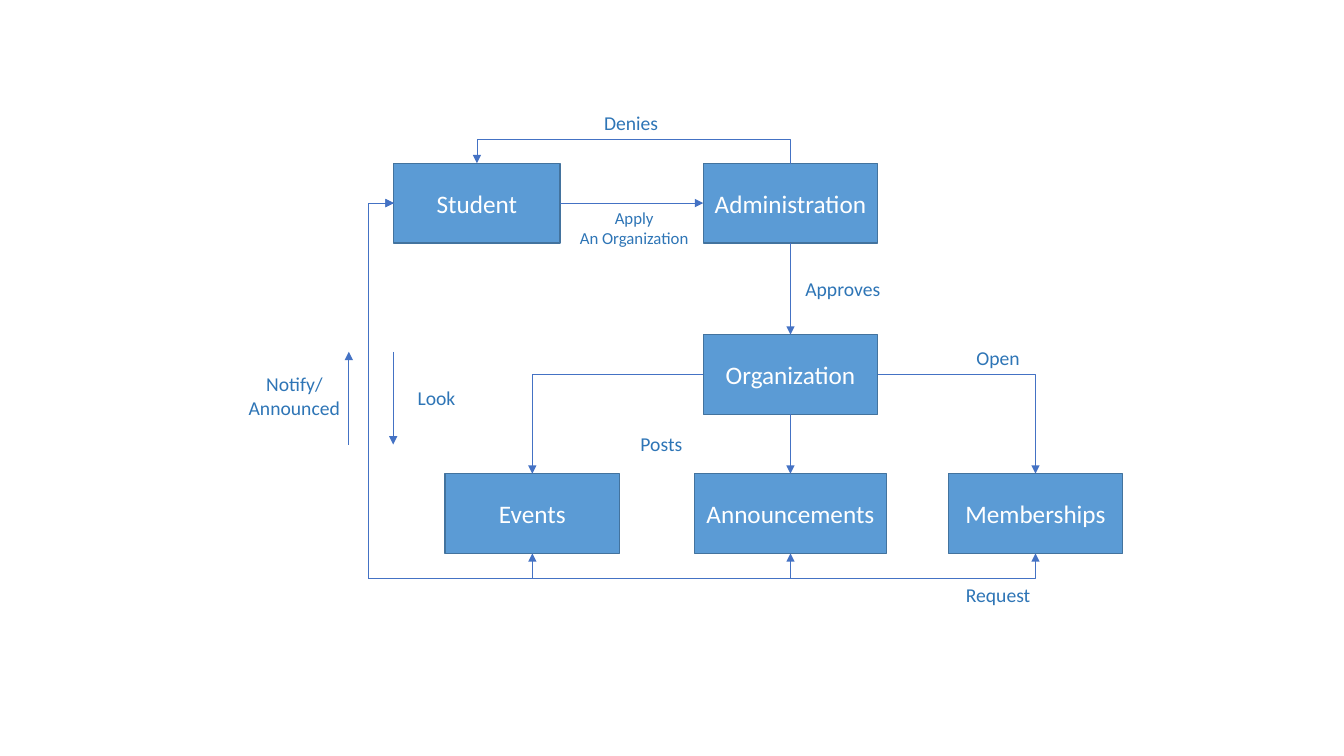
"""Build the flow chart of student organization requests."""
from lxml import etree
from pptx import Presentation
from pptx.dml.color import RGBColor
from pptx.enum.shapes import MSO_CONNECTOR, MSO_SHAPE
from pptx.enum.text import MSO_ANCHOR, MSO_AUTO_SIZE, PP_ALIGN
from pptx.oxml.ns import qn
from pptx.util import Inches, Pt

RECT = MSO_SHAPE.RECTANGLE
STRAIGHT, ELBOW = MSO_CONNECTOR.STRAIGHT, MSO_CONNECTOR.ELBOW
MIDDLE, CENTER = MSO_ANCHOR.MIDDLE, PP_ALIGN.CENTER
FIT = MSO_AUTO_SIZE.SHAPE_TO_FIT_TEXT
TOP, LEFT, BOTTOM, RIGHT = range(4)
FONT = "Calibri"
FILL, EDGE, WIRE, INK, WHITE = "5B9BD5", "43739E", "4472C4", "2E75B6", "FFFFFF"
COLS = {"student": 4.73, "events": 5.28, "main": 7.84, "members": 10.27}
ROWS = {"ask": 1.62, "group": 3.32, "posts": 4.7}
WIDE, HIGH = 1.73, 0.79
GAP = Inches(0.25)
BOXES = [
    ("Student", "student", "ask", 1.65),
    ("Administration", "main", "ask", WIDE),
    ("Organization", "main", "group", WIDE),
    ("Events", "events", "posts", WIDE),
    ("Announcements", "main", "posts", 1.9),
    ("Memberships", "members", "posts", WIDE),
]
LABELS = [
    ("Denies", 6.26, 1.05, 1.06, 14),
    ("Apply\nAn Organization", 6.29, 2.01, 1.65, 12),
    ("Approves", 8.36, 2.7, 1.06, 14),
    ("Posts", 6.56, 4.24, 1.06, 14),
    ("Open", 9.9, 3.38, 1.06, 14),
    ("Look", 4.33, 3.78, 1.06, 14),
    ("Notify/\nAnnounced", 2.92, 3.64, 1.18, 14),
    ("Request", 9.9, 5.73, 1.06, 14),
]


def tint(code):
    """Return the colour of a hex string."""
    return RGBColor.from_string(code)


def write(frame, text, size, code):
    """Put centred text in a frame."""
    frame.text = text
    frame.word_wrap = True
    for para in frame.paragraphs:
        para.alignment = CENTER
        para.font.name = FONT
        para.font.size = Pt(size)
        para.font.color.rgb = tint(code)


def box(slide, text, col, row, wide):
    """Add a box centred on a column, with its top on a row."""
    shape = slide.shapes.add_shape(
        RECT, Inches(COLS[col] - wide / 2), Inches(ROWS[row]),
        Inches(wide), Inches(HIGH))
    shape.shadow.inherit = False
    shape.fill.solid()
    shape.fill.fore_color.rgb = tint(FILL)
    shape.line.color.rgb = tint(EDGE)
    shape.line.width = Pt(1)
    write(shape.text_frame, text, 18, WHITE)
    shape.text_frame.vertical_anchor = MIDDLE
    return shape


def label(slide, text, mid, top, wide, size):
    """Add a text label centred on mid."""
    high = (text.count("\n") + 1) * size * 1.2 / 72 + 0.1
    area = slide.shapes.add_textbox(
        Inches(mid - wide / 2), Inches(top), Inches(wide), Inches(high))
    write(area.text_frame, text, size, INK)
    area.text_frame.auto_size = FIT


def wire(slide, kind, ends=(0, 0, 0, 0), both=False):
    """Add a thin line with an arrow at its end or at both ends."""
    line = slide.shapes.add_connector(kind, *map(Inches, ends))
    line.line.color.rgb = tint(WIRE)
    line.line.width = Pt(0.5)
    for tag in ("a:headEnd", "a:tailEnd")[not both:]:
        etree.SubElement(line.line._ln, qn(tag), type="triangle")
    etree.SubElement(line._element.spPr, qn("a:effectLst"))
    return line


def join(slide, start, out, end, side, kind=STRAIGHT, both=False):
    """Connect a side of one box to a side of another."""
    line = wire(slide, kind, both=both)
    line.begin_connect(start, out)
    line.end_connect(end, side)
    return line


def shape_bend(line, preset, *turns):
    """Set the preset of an elbow and the shares at which it turns."""
    geom = line._element.spPr.find(qn("a:prstGeom"))
    geom.set("prst", preset)
    guides = geom.find(qn("a:avLst"))
    for num, turn in enumerate(turns, 1):
        etree.SubElement(guides, qn("a:gd"), name=f"adj{num}",
                         fmla=f"val {round(turn * 100000)}")


def arch(slide, start, end):
    """Lead from the top of a box over to the top of one on its left."""
    line = join(slide, start, TOP, end, TOP, ELBOW)
    span, thin = line.width, Inches(0.01)
    line.left += (span - thin) // 2
    line.top -= (span - thin) // 2
    line.width, line.height = thin, span
    frame = line._element.spPr.find(qn("a:xfrm"))
    frame.attrib.pop("flipH", None)
    frame.set("rot", "16200000")
    frame.set("flipV", "1")
    shape_bend(line, "bentConnector3", GAP / thin)


def drop(slide, start, out, end):
    """Lead sideways out of a box and down to another."""
    shape_bend(join(slide, start, out, end, TOP, ELBOW), "bentConnector2")


def loop(slide, start, end, both):
    """Lead around the left of a box and up into another from below."""
    line = join(slide, start, LEFT, end, BOTTOM, ELBOW, both)
    shape_bend(line, "bentConnector4", -GAP / line.width, 1 + GAP / line.height)


def main():
    """Build and save the slide."""
    deck = Presentation()
    deck.slide_width, deck.slide_height = Inches(13.33), Inches(7.5)
    slide = deck.slides.add_slide(deck.slide_layouts[6])
    student, admin, group, events, news, members = [
        box(slide, *item) for item in BOXES]
    arch(slide, admin, student)
    join(slide, student, RIGHT, admin, LEFT)
    join(slide, admin, BOTTOM, group, TOP)
    join(slide, group, BOTTOM, news, TOP)
    drop(slide, group, LEFT, events)
    drop(slide, group, RIGHT, members)
    for end, both in ((events, True), (news, True), (members, False)):
        loop(slide, student, end, both)
    wire(slide, STRAIGHT, (3.46, 4.41, 3.46, 3.49))
    wire(slide, STRAIGHT, (3.9, 3.49, 3.9, 4.41))
    for item in LABELS:
        label(slide, *item)
    deck.save("out.pptx")


main()
